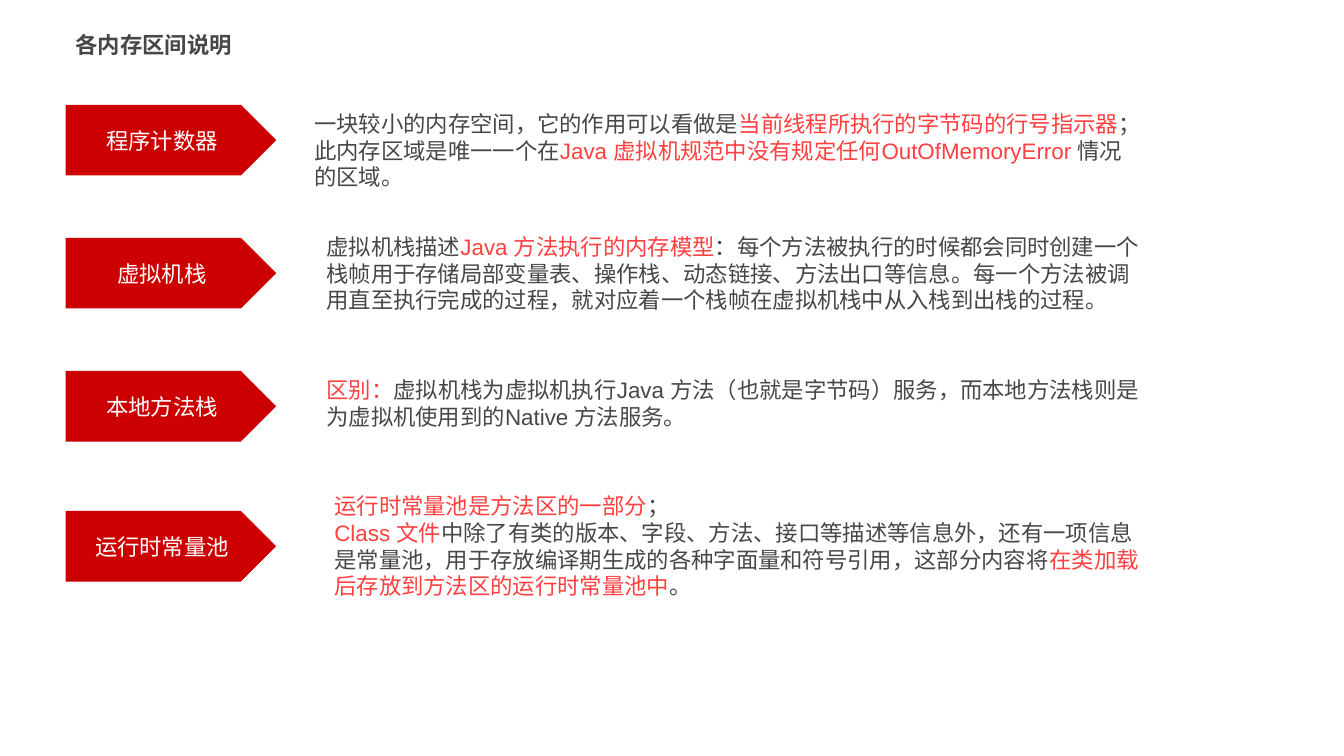
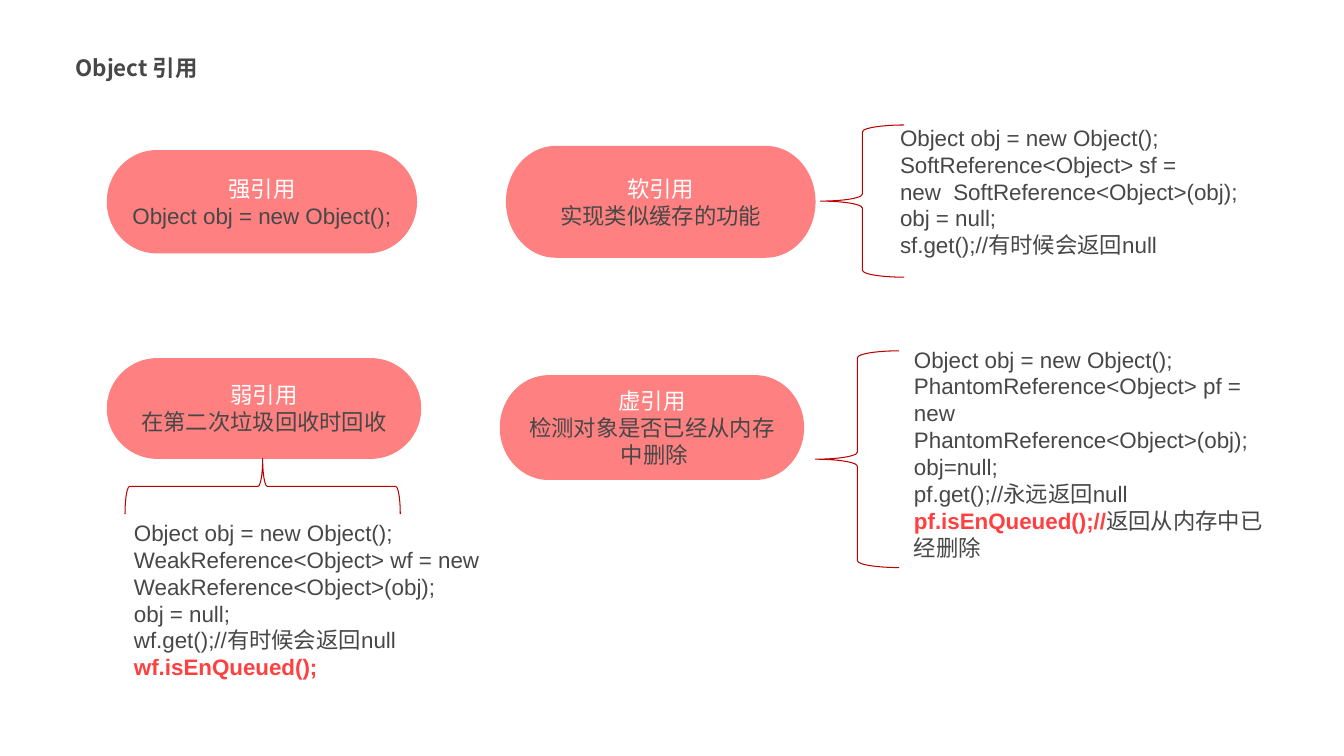
from dataclasses import dataclass

from lxml.etree import SubElement
from pptx import Presentation
from pptx.dml.color import RGBColor
from pptx.enum.shapes import MSO_SHAPE
from pptx.enum.text import MSO_ANCHOR, MSO_AUTO_SIZE, PP_ALIGN
from pptx.oxml.ns import qn
from pptx.shapes.autoshape import Shape
from pptx.slide import Slide
from pptx.text.text import TextFrame
from pptx.util import Pt

GRAY = RGBColor(0x47, 0x47, 0x47)
WHITE = RGBColor(0xFF, 0xFF, 0xFF)
RED = RGBColor(0xFF, 0x40, 0x40)
DARK_RED = RGBColor(0xCC, 0x00, 0x00)
PINK = RGBColor(0xFF, 0x80, 0x80)
BRACE_RED = RGBColor(0xBC, 0x00, 0x00)
BODY_FONT = "Arial"
CJK_FONT = "Noto Sans CJK SC"
TEXT_SIZE = Pt(16)


@dataclass(frozen=True)
class Span:
    text: str
    color: RGBColor = GRAY
    bold: bool = False


@dataclass(frozen=True)
class Box:
    left: float
    top: float
    width: float
    height: float


Lines = list[list[Span]]


@dataclass(frozen=True)
class Region:
    name: str
    top: float
    text_box: Box
    lines: Lines


@dataclass(frozen=True)
class Reference:
    name: str
    detail: str
    box: Box


@dataclass(frozen=True)
class Code:
    box: Box
    lines: Lines


@dataclass(frozen=True)
class Brace:
    box: Box
    rotation: float = 0


def plain(*texts: str) -> Lines:
    return [[Span(text)] for text in texts]


def place(sp: Shape, box: Box) -> None:
    sp.left, sp.top = Pt(box.left), Pt(box.top)
    sp.width, sp.height = Pt(box.width), Pt(box.height)


def write(tf: TextFrame, lines: Lines, font: str = BODY_FONT,
          align: PP_ALIGN = PP_ALIGN.LEFT) -> None:
    tf.word_wrap = True
    for i, line in enumerate(lines):
        p = tf.paragraphs[0] if i == 0 else tf.add_paragraph()
        p.alignment = align
        for span in line:
            r = p.add_run()
            r.text = span.text
            r.font.name = font
            r.font.size = TEXT_SIZE
            r.font.bold = span.bold
            r.font.color.rgb = span.color
            SubElement(r.font._element, qn("a:ea"), typeface=CJK_FONT)


def add_titled_slide(title: str, box: Box) -> Slide:
    s = prs.slides.add_slide(prs.slide_layouts[5])
    sp = s.shapes.title
    place(sp, box)
    tf = sp.text_frame
    tf.vertical_anchor = MSO_ANCHOR.TOP
    tf.auto_size = MSO_AUTO_SIZE.NONE
    write(tf, [[Span(title, bold=True)]], CJK_FONT)
    return s


def add_shape(s: Slide, kind: MSO_SHAPE, box: Box) -> Shape:
    sp = s.shapes.add_shape(kind, Pt(box.left), Pt(box.top),
                            Pt(box.width), Pt(box.height))
    sp.shadow.inherit = False
    return sp


def add_label(s: Slide, kind: MSO_SHAPE, box: Box, fill: RGBColor,
              lines: Lines) -> None:
    sp = add_shape(s, kind, box)
    sp.fill.solid()
    sp.fill.fore_color.rgb = fill
    sp.line.fill.background()
    tf = sp.text_frame
    tf.vertical_anchor = MSO_ANCHOR.MIDDLE
    write(tf, lines, align=PP_ALIGN.CENTER)
    for p in tf.paragraphs:
        pPr = p._p.get_or_add_pPr()
        pPr.set("marL", str(Pt(3.6)))
        pPr.set("indent", str(Pt(-7.2)))


def add_text(s: Slide, box: Box, lines: Lines) -> None:
    sp = s.shapes.add_textbox(Pt(box.left), Pt(box.top),
                              Pt(box.width), Pt(box.height))
    sp.text_frame.auto_size = MSO_AUTO_SIZE.SHAPE_TO_FIT_TEXT
    write(sp.text_frame, lines)


def add_brace(s: Slide, brace: Brace) -> None:
    sp = add_shape(s, MSO_SHAPE.LEFT_BRACE, brace.box)
    sp.rotation = brace.rotation
    sp.fill.background()
    sp.line.color.rgb = BRACE_RED
    sp.line.width = Pt(0.75)


REGIONS = [
    Region("程序计数器", 74.9, Box(217.4, 74.9, 599.8, 65.5), [
        [Span("一块较小的内存空间，它的作用可以看做是"),
         Span("当前线程所执行的字节码的行号指示器", RED), Span("；")],
        [Span("此内存区域是唯一一个在"),
         Span("Java 虚拟机规范中没有规定任何OutOfMemoryError ", RED),
         Span("情况的区域。")],
    ]),
    Region("虚拟机栈", 169.9, Box(226.1, 162.7, 599.8, 65.5), [
        [Span("虚拟机栈描述"), Span("Java 方法执行的内存模型", RED),
         Span("：每个方法被执行的时候都会同时创建一个栈帧用于存储局部变量表、"
              "操作栈、动态链接、方法出口等信息。每一个方法被调用直至执行完成的过程，"
              "就对应着一个栈帧在虚拟机栈中从入栈到出栈的过程。")],
    ]),
    Region("本地方法栈", 265, Box(226.1, 265, 599.8, 46.1), [
        [Span("区别：", RED),
         Span("虚拟机栈为虚拟机执行Java 方法（也就是字节码）服务，"
              "而本地方法栈则是为虚拟机使用到的Native 方法服务。")],
    ]),
    Region("运行时常量池", 365, Box(231.8, 347.8, 599.8, 85), [
        [Span("运行时常量池是方法区的一部分", RED), Span("；")],
        [Span("Class 文件", RED),
         Span("中除了有类的版本、字段、方法、接口等描述等信息外，还有一项信息是常量池，"
              "用于存放编译期生成的各种字面量和符号引用，这部分内容将"),
         Span("在类加载后存放到方法区的运行时常量池中", RED), Span("。")],
    ]),
]

REFERENCES = [
    Reference("强引用", "Object obj = new Object();", Box(76.3, 107.2, 221.6, 73.8)),
    Reference("软引用", "实现类似缓存的功能", Box(361.4, 104.2, 221.2, 79.9)),
    Reference("弱引用", "在第二次垃圾回收时回收", Box(76.3, 255.8, 224.6, 72)),
    Reference("虚引用", "检测对象是否已经从内存中删除", Box(357, 268, 217.4, 74.9)),
]

CODES = [
    Code(Box(635.8, 85, 264.2, 123.8), plain(
        "Object obj = new Object();",
        "SoftReference<Object> sf = ",
        "new  SoftReference<Object>(obj);",
        "obj = null;",
        "sf.get();//有时候会返回null")),
    Code(Box(88.6, 367.2, 264.2, 123.8), plain(
        "Object obj = new Object();",
        "WeakReference<Object> wf = new WeakReference<Object>(obj);",
        "obj = null;",
        "wf.get();//有时候会返回null") + [[Span("wf.isEnQueued();", RED, True)]]),
    Code(Box(645.8, 243.4, 264.2, 162.7), plain(
        "Object obj = new Object();",
        "PhantomReference<Object> pf = new PhantomReference<Object>(obj);",
        "obj=null;",
        "pf.get();//永远返回null")
        + [[Span("pf.isEnQueued();//", RED, True), Span("返回从内存中已经删除")]]),
]

BRACES = [
    Brace(Box(167.8, 249.1, 39.6, 196.6), 90),
    Brace(Box(586.1, 89.3, 59.8, 108.7)),
    Brace(Box(582.5, 250.6, 59.8, 154.8)),
]

prs = Presentation()
prs.slide_width, prs.slide_height = Pt(960), Pt(540)

s = add_titled_slide("各内存区间说明", Box(46.8, 18.7, 750.2, 39.6))
for region in REGIONS:
    add_label(s, MSO_SHAPE.PENTAGON, Box(46.8, region.top, 150.5, 50.4),
              DARK_RED, [[Span(region.name, WHITE)]])
    add_text(s, region.text_box, region.lines)

s = add_titled_slide("Object 引用", Box(46.8, 35.3, 750.2, 49.7))
for ref in REFERENCES:
    add_label(s, MSO_SHAPE.FLOWCHART_TERMINATOR, ref.box, PINK,
              [[Span(ref.name, WHITE)], [Span(ref.detail)]])
for brace in BRACES:
    add_brace(s, brace)
for code in CODES:
    add_text(s, code.box, code.lines)

prs.save("out.pptx")
